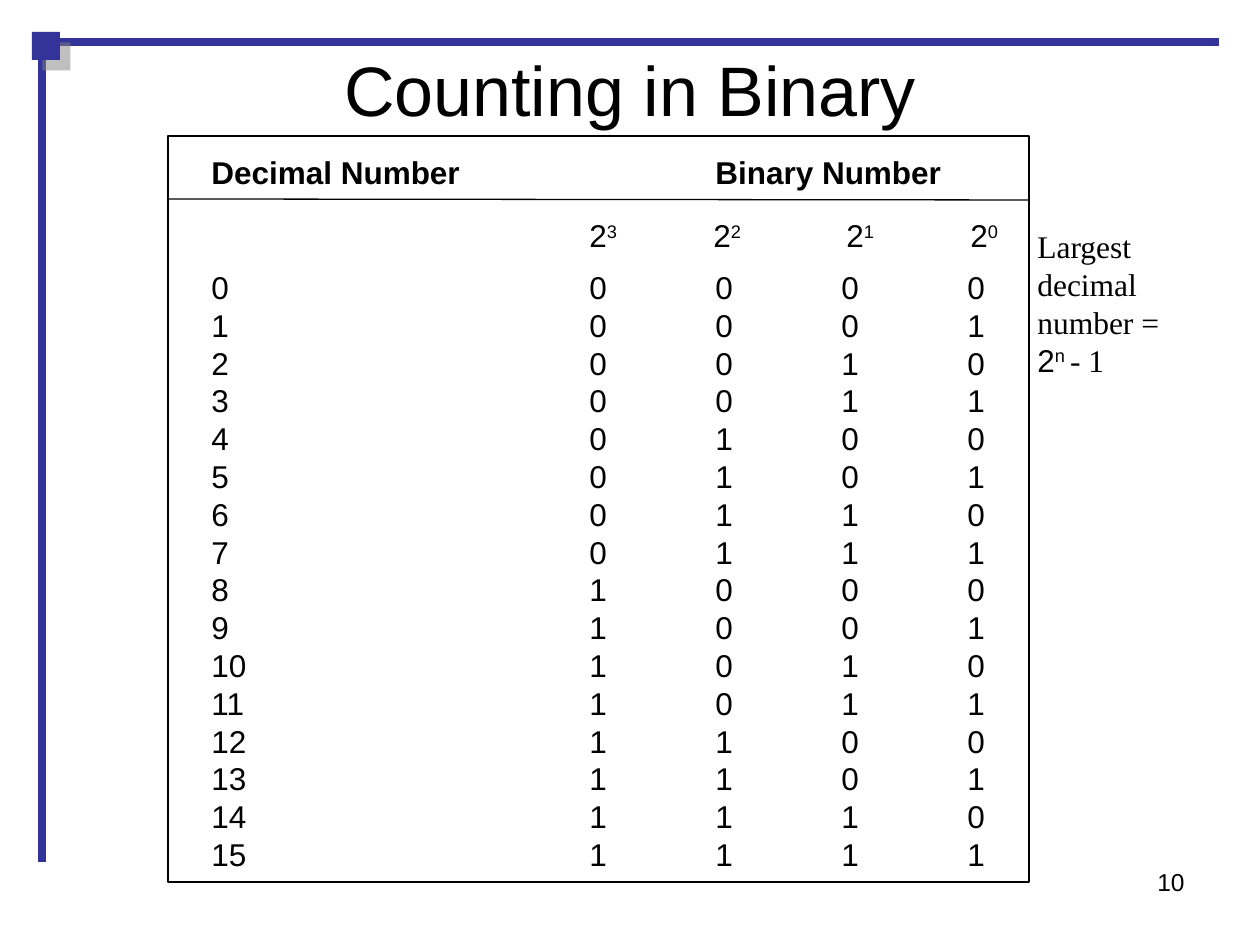
from lxml.etree import SubElement
from pptx import Presentation
from pptx.dml.color import RGBColor
from pptx.enum.shapes import MSO_CONNECTOR, MSO_SHAPE
from pptx.enum.text import MSO_ANCHOR, PP_ALIGN
from pptx.oxml.ns import qn
from pptx.util import Emu, Pt

PX = 914400 // 126
BLACK = RGBColor(0, 0, 0)
NAVY = RGBColor(0x33, 0x33, 0x99)


def px(value):
    return Emu(value * PX)


def add_text_box(slide, left, top, width, height):
    frame = slide.shapes.add_textbox(px(left), px(top), px(width), px(height)).text_frame
    frame.word_wrap = True
    return frame


def style(paragraph, size=18, font="Arial", bold=False):
    paragraph.font.size = Pt(size)
    paragraph.font.name = font
    paragraph.font.bold = bold
    paragraph.font.color.rgb = BLACK


def set_tabs(paragraph, positions):
    tab_list = SubElement(paragraph._p.get_or_add_pPr(), qn("a:tabLst"))
    for position in positions:
        SubElement(tab_list, qn("a:tab"), pos=str(px(position)), algn="l")


def add_power(paragraph, base, exponent):
    paragraph.add_run().text = base
    run = paragraph.add_run()
    run.text = exponent
    run.font._element.set("baseline", "30000")


def add_line(slide, start, end, color, width):
    line = slide.shapes.add_connector(
        MSO_CONNECTOR.STRAIGHT, *(px(value) for value in start + end))
    line.line.color.rgb = color
    line.line.width = Pt(width)
    SubElement(line._element.spPr, qn("a:effectLst"))


def add_rectangle(slide, left, top, width, height):
    shape = slide.shapes.add_shape(
        MSO_SHAPE.RECTANGLE, px(left), px(top), px(width), px(height))
    shape.shadow.inherit = False
    return shape


def add_corner(slide):
    add_line(slide, (42, 42), (1219, 42), NAVY, 4.5)
    add_line(slide, (42, 42), (42, 862), NAVY, 4.5)
    square = add_rectangle(slide, 32, 32, 28, 28)
    square.fill.solid()
    square.fill.fore_color.rgb = NAVY
    square.line.fill.background()
    effects = square._element.spPr.find(qn("a:effectLst"))
    shadow = SubElement(effects, qn("a:outerShdw"), dist=str(Pt(8.5)),
                        dir="2700000", algn="ctr", rotWithShape="0")
    color = SubElement(shadow, qn("a:srgbClr"), val="808080")
    SubElement(color, qn("a:alpha"), val="50000")


def add_label(slide, box, text, size, alignment):
    frame = add_text_box(slide, *box)
    frame.vertical_anchor = MSO_ANCHOR.MIDDLE
    paragraph = frame.paragraphs[0]
    paragraph.text = text
    paragraph.alignment = alignment
    style(paragraph, size)


def add_counts(slide):
    frame = add_text_box(slide, 199, 147, 882, 770)
    header = frame.paragraphs[0]
    header.text = "Decimal Number\t\t\tBinary Number"
    counts = frame.add_paragraph()
    counts.text = "\v".join(
        f"{number}\t\t\t" + "\t".join(f"{number:04b}") for number in range(16))
    counts.space_before = Pt(44)
    for paragraph in (header, counts):
        set_tabs(paragraph, range(126, 883, 126))
        style(paragraph, bold=paragraph is header)


def add_place_values(slide):
    paragraph = add_text_box(slide, 577, 210, 473, 50).paragraphs[0]
    set_tabs(paragraph, (124, 257, 381))
    style(paragraph)
    for exponent in range(3, -1, -1):
        add_power(paragraph, "2" if exponent == 3 else "\t2", str(exponent))


def add_largest_number(slide):
    frame = add_text_box(slide, 1025, 221, 209, 164)
    note = frame.paragraphs[0]
    note.text = "Largest decimal number ="
    style(note, font="Times New Roman")
    formula = frame.add_paragraph()
    style(formula)
    add_power(formula, "2", "n ")
    remainder = formula.add_run()
    remainder.text = "- 1"
    remainder.font.name = "Times New Roman"


def main():
    presentation = Presentation()
    presentation.slide_width = px(1260)
    presentation.slide_height = px(945)
    slide = presentation.slides.add_slide(presentation.slide_layouts[6])
    add_corner(slide)
    add_label(slide, (903, 860, 294, 44), "10", 14, PP_ALIGN.RIGHT)
    add_label(slide, (63, 55, 1134, 67), "Counting in Binary", 40, PP_ALIGN.CENTER)
    add_counts(slide)
    border = add_rectangle(slide, 168, 136, 861, 746)
    border.fill.background()
    border.line.color.rgb = BLACK
    border.line.width = Pt(0.75)
    add_line(slide, (168, 199), (1029, 200), BLACK, 0.75)
    add_place_values(slide)
    add_largest_number(slide)
    presentation.save("out.pptx")


if __name__ == "__main__":
    main()
